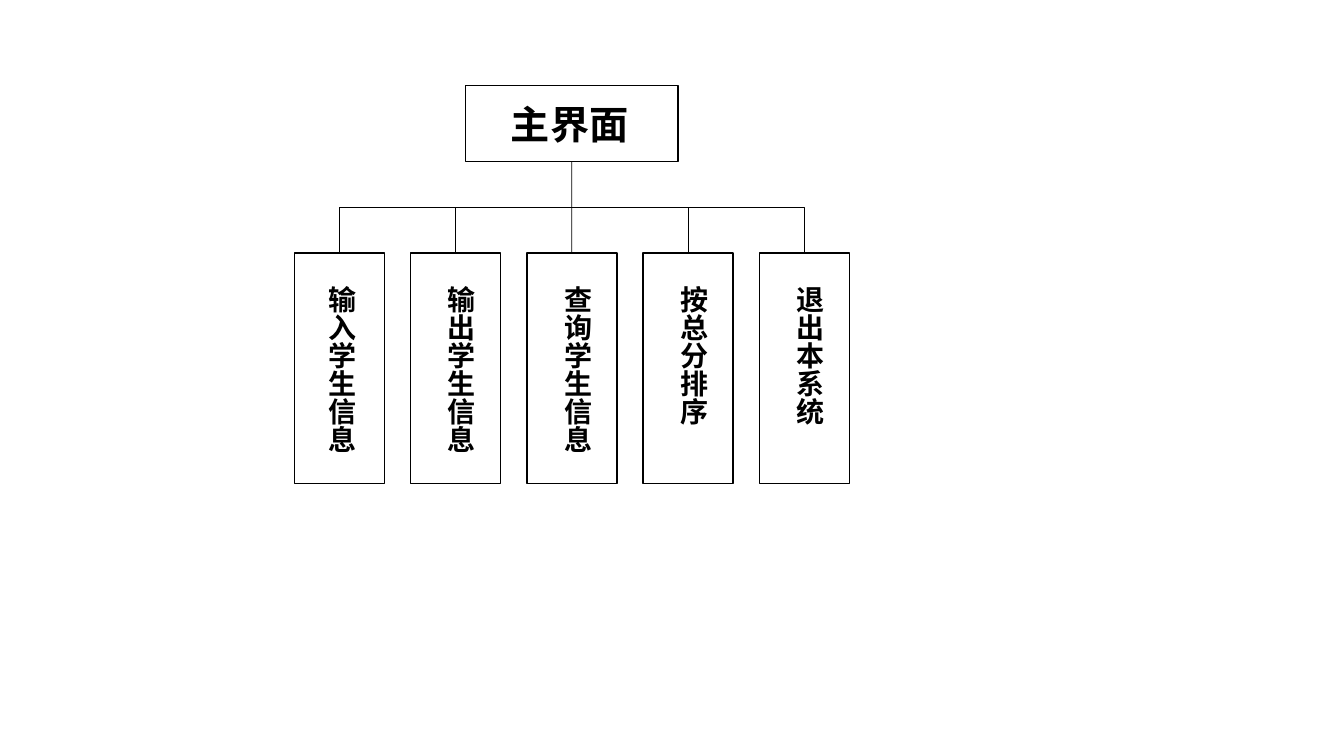
from dataclasses import dataclass

from pptx import Presentation
from pptx.dml.color import RGBColor
from pptx.enum.shapes import MSO_CONNECTOR, MSO_SHAPE
from pptx.enum.text import MSO_AUTO_SIZE
from pptx.oxml.ns import qn
from pptx.util import Inches, Pt

RECT = MSO_SHAPE.RECTANGLE
LINE = MSO_CONNECTOR.STRAIGHT
ELBOW = MSO_CONNECTOR.ELBOW
GROW = MSO_AUTO_SIZE.SHAPE_TO_FIT_TEXT
TOP, BOTTOM = 0, 2


@dataclass(frozen=True)
class Theme:
    ink: RGBColor = RGBColor(0, 0, 0)
    paper: RGBColor = RGBColor(255, 255, 255)
    font: str = "Noto Sans CJK SC"
    title: int = 28
    label: int = 20
    edge: float = 1
    wire: float = 0.5


class Chart:
    """Draws on a grid of 100 columns by 100 rows."""

    def __init__(self, deck, theme):
        self.theme = theme
        self.wide, self.high = deck.slide_width, deck.slide_height
        self.shapes = deck.slides.add_slide(deck.slide_layouts[6]).shapes

    def col(self, n):
        return round(self.wide * n / 100)

    def row(self, n):
        return round(self.high * n / 100)

    def area(self, x, y, w, h):
        return self.col(x), self.row(y), self.col(w), self.row(h)

    def box(self, x, y, w, h):
        box = self.shapes.add_shape(RECT, *self.area(x, y, w, h))
        box.shadow.inherit = False
        box.fill.solid()
        box.fill.fore_color.rgb = self.theme.paper
        box.line.color.rgb = self.theme.ink
        box.line.width = Pt(self.theme.edge)
        return box

    def text(self, words, x, y, w, h, size, upright=False):
        frame = self.shapes.add_textbox(*self.area(x, y, w, h)).text_frame
        frame.word_wrap = True
        frame.auto_size = GROW
        if upright:
            frame._txBody.bodyPr.set("vert", "eaVert")
        para = frame.paragraphs[0]
        para.text = words
        font = para.font
        font.size, font.bold, font.name = Pt(size), True, self.theme.font
        font.color.rgb = self.theme.ink
        # East Asian typeface
        props = para._p.pPr.find(qn("a:defRPr"))
        face = props.makeelement(qn("a:ea"), {"typeface": self.theme.font})
        props.append(face)

    def wire(self, kind, *ends):
        wire = self.shapes.add_connector(kind, *ends)
        wire.line.color.rgb = self.theme.ink
        wire.line.width = Pt(self.theme.wire)
        props = wire._element.spPr
        props.append(props.makeelement(qn("a:effectLst"), {}))
        return wire

    def join(self, upper, lower):
        wire = self.wire(LINE, 0, 0, 0, 0)
        wire.begin_connect(upper, BOTTOM)
        wire.end_connect(lower, TOP)

    def rise(self, box, y):
        x = box.left + box.width // 2
        wire = self.wire(LINE, x, box.top, x, self.row(y))
        wire.begin_connect(box, TOP)

    def bridge(self, first, last, y):
        """Bent line that leaves the top of first and enters the top of last."""
        thin = Inches(0.01)
        start = first.left + first.width // 2
        span = last.left + last.width // 2 - start
        left = start + (span - thin) // 2
        top = first.top - (span + thin) // 2
        # A quarter turn lays the tall, thin frame flat
        wire = self.wire(ELBOW, left + thin, top + span, left, top)
        props = wire._element.spPr
        props.find(qn("a:xfrm")).set("rot", str(90 * 60000))
        bend = round((first.top - self.row(y)) / thin * 100000)
        geom = props.find(qn("a:prstGeom"))
        guides = geom.find(qn("a:avLst"))
        if guides is None:
            guides = geom.makeelement(qn("a:avLst"), {})
            geom.append(guides)
        guides.append(guides.makeelement(
            qn("a:gd"), {"name": "adj1", "fmla": f"val {bend}"}))


def main():
    deck = Presentation()
    deck.slide_width, deck.slide_height = Inches(13.33), Inches(7.5)
    theme = Theme()
    chart = Chart(deck, theme)

    # Menu items, each with the inset of its label
    items = [("输入学生信息", 1.05), ("输出学生信息", 1.31),
             ("查询学生信息", 1.31), ("按总分排序", 1.31),
             ("退出本系统", 1.31)]
    left, step, bus = 21.9, 8.65, 27.33

    # Boxes
    root = chart.box(34.63, 11.33, 15.83, 10)
    leaves = [chart.box(left + i * step, 33.47, 6.7, 30.53)
              for i in range(len(items))]

    # Branches
    chart.join(root, leaves[2])
    chart.bridge(leaves[0], leaves[-1], bus)
    for leaf in (leaves[1], leaves[3]):
        chart.rise(leaf, bus)

    # Labels
    chart.text("主界面", 37.28, 12.67, 10.58, 7.6, theme.title)
    for i, (words, inset) in enumerate(items):
        chart.text(words, left + i * step + inset, 36.53, 4.05, 27.07,
                   theme.label, upright=True)

    deck.save("out.pptx")


if __name__ == "__main__":
    main()
